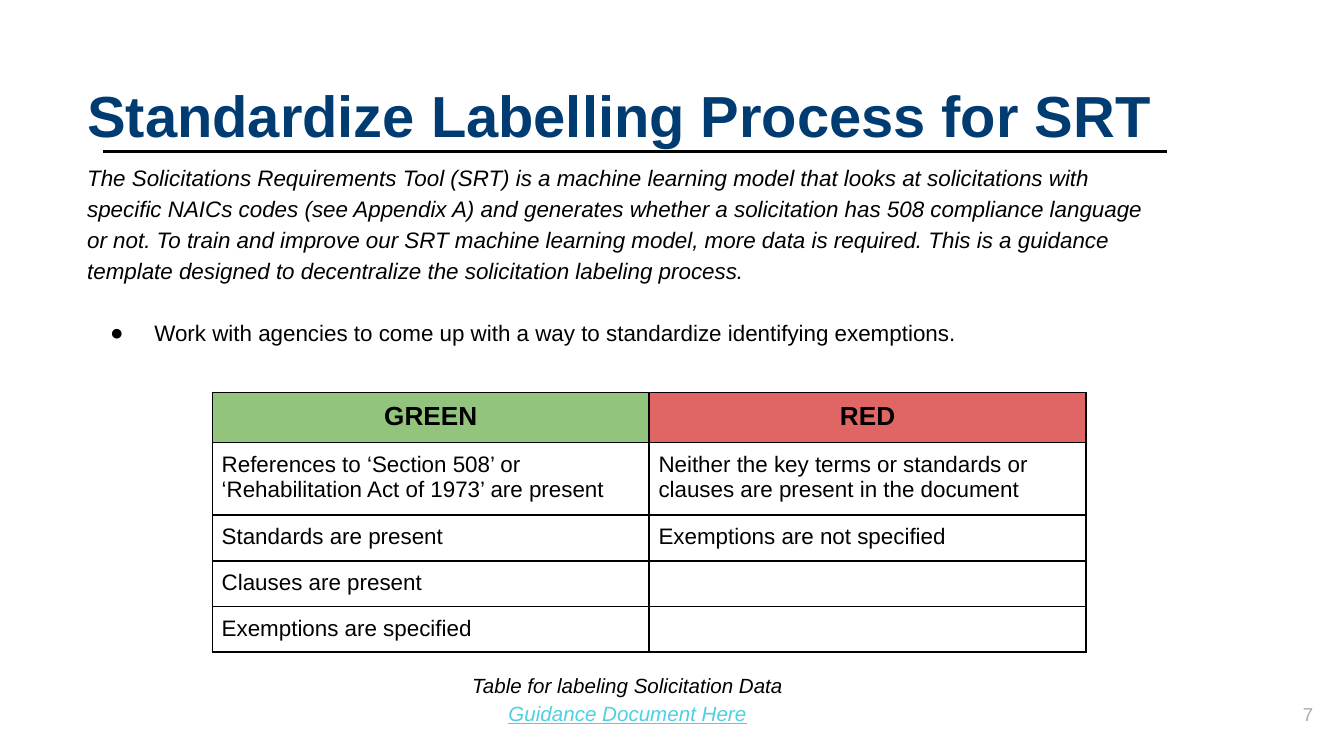
from lxml.etree import SubElement
from pptx import Presentation
from pptx.dml.color import RGBColor
from pptx.enum.shapes import MSO_CONNECTOR
from pptx.enum.text import MSO_ANCHOR, PP_ALIGN
from pptx.oxml.ns import qn
from pptx.util import Inches, Pt

TITLE = "Standardize Labelling Process for SRT"
INTRO = (
    "The Solicitations Requirements Tool (SRT) is a machine learning model that looks at "
    "solicitations with specific NAICs codes (see Appendix A) and generates whether a "
    "solicitation has 508 compliance language or not. To train and improve our SRT machine "
    "learning model, more data is required. This is a guidance template designed to "
    "decentralize the solicitation labeling process."
)
BULLET = "Work with agencies to come up with a way to standardize identifying exemptions."
ROWS = [
    ("GREEN", "RED"),
    ("References to ‘Section 508’ or ‘Rehabilitation Act of 1973’ are present",
     "Neither the key terms or standards or clauses are present in the document"),
    ("Standards are present", "Exemptions are not specified"),
    ("Clauses are present", ""),
    ("Exemptions are specified", ""),
]
CAPTION = "Table for labeling Solicitation Data"
LINK = "Guidance Document Here"
PAGE = "7"

BLACK = RGBColor(0x00, 0x00, 0x00)
NAVY = RGBColor(0x00, 0x3C, 0x71)
GREEN = RGBColor(0x93, 0xC4, 0x7D)
RED = RGBColor(0xE0, 0x66, 0x66)
CYAN = RGBColor(0x4D, 0xD0, 0xE1)
GRAY = RGBColor(0xAD, 0xAD, 0xAD)


def write(p, text, size=12, color=BLACK, bold=False, italic=False, underline=False,
          align=PP_ALIGN.LEFT, spacing=1.0):
    p.alignment = align
    p.line_spacing = spacing
    r = p.add_run()
    r.text = text
    f = r.font
    f.name, f.size, f.bold, f.italic, f.underline = "Arial", Pt(size), bold, italic, underline
    f.color.rgb = color


def prepare(sp, anchor):
    tf = sp.text_frame
    tf.word_wrap = True
    tf.vertical_anchor = anchor
    tf.margin_left = tf.margin_right = tf.margin_top = tf.margin_bottom = Inches(0.1)
    return tf


def add_text_box(s, box, anchor=MSO_ANCHOR.TOP):
    return prepare(s.shapes.add_textbox(*map(Inches, box)), anchor)


def add_bullet(p):
    pPr = p._p.get_or_add_pPr()
    pPr.set("marL", str(Inches(0.5)))
    pPr.set("indent", str(Inches(-0.33)))
    color = SubElement(pPr, qn("a:buClr"))
    SubElement(color, qn("a:srgbClr"), val=str(BLACK))
    SubElement(pPr, qn("a:buSzPts"), val="1200")
    SubElement(pPr, qn("a:buFont"), typeface="Arial")
    SubElement(pPr, qn("a:buChar"), char="●")


def add_borders(cell):
    tcPr = cell._tc.get_or_add_tcPr()
    for i, side in enumerate(("lnL", "lnR", "lnT", "lnB")):
        ln = SubElement(tcPr, qn(f"a:{side}"), w=str(Pt(1)))
        fill = SubElement(ln, qn("a:solidFill"))
        SubElement(fill, qn("a:srgbClr"), val=str(BLACK))
        tcPr.insert(i, ln)


def add_label_table(s):
    frame = s.shapes.add_table(len(ROWS), 2, Inches(1.58), Inches(2.92),
                               Inches(6.5), Inches(1.93))
    table = frame.table
    for i, row in enumerate(ROWS):
        table.rows[i].height = 0
        for j, text in enumerate(row):
            cell = table.cell(i, j)
            cell.margin_left = cell.margin_right = Inches(0.07)
            cell.margin_top = cell.margin_bottom = Inches(0.07)
            p = cell.text_frame.paragraphs[0]
            if i == 0:
                write(p, text, size=14, bold=True, align=PP_ALIGN.CENTER)
                cell.fill.solid()
                cell.fill.fore_color.rgb = (GREEN, RED)[j]
            else:
                cell.fill.background()
                if text:
                    write(p, text)
                else:
                    SubElement(p._p, qn("a:endParaRPr"), sz="1200")
            add_borders(cell)
    frame.height = Inches(1.93)


def main():
    prs = Presentation()
    prs.slide_width, prs.slide_height = Inches(10), Inches(10 * 9 / 16)
    s = prs.slides.add_slide(prs.slide_layouts[5])

    rule = s.shapes.add_connector(MSO_CONNECTOR.STRAIGHT, Inches(0.77), Inches(1.13),
                                  Inches(8.68), Inches(1.13))
    rule.line.color.rgb = BLACK
    rule.line.width = Pt(1.5)
    SubElement(rule._element.spPr, qn("a:effectLst"))

    title = s.shapes.title
    title.left, title.top, title.width, title.height = map(Inches, (0.55, 0.25, 8.75, 0.96))
    tf = prepare(title, MSO_ANCHOR.BOTTOM)
    write(tf.paragraphs[0], TITLE, size=31, color=NAVY, bold=True)

    tf = add_text_box(s, (0.55, 1.09, 8.25, 1.72))
    write(tf.paragraphs[0], INTRO, italic=True, spacing=1.15)
    p = tf.add_paragraph()
    add_bullet(p)
    p.space_before = Pt(17)
    write(p, BULLET, spacing=1.15)

    add_label_table(s)

    tf = add_text_box(s, (3.03, 4.95, 3.28, 0.48), MSO_ANCHOR.MIDDLE)
    caption = dict(size=11, italic=True, align=PP_ALIGN.CENTER, spacing=1.15)
    write(tf.paragraphs[0], CAPTION, **caption)
    write(tf.add_paragraph(), LINK, color=CYAN, underline=True, **caption)

    tf = add_text_box(s, (9.27, 5.1, 0.6, 0.43), MSO_ANCHOR.MIDDLE)
    write(tf.paragraphs[0], PAGE, size=10, color=GRAY, align=PP_ALIGN.RIGHT)

    prs.save("out.pptx")


if __name__ == "__main__":
    main()
